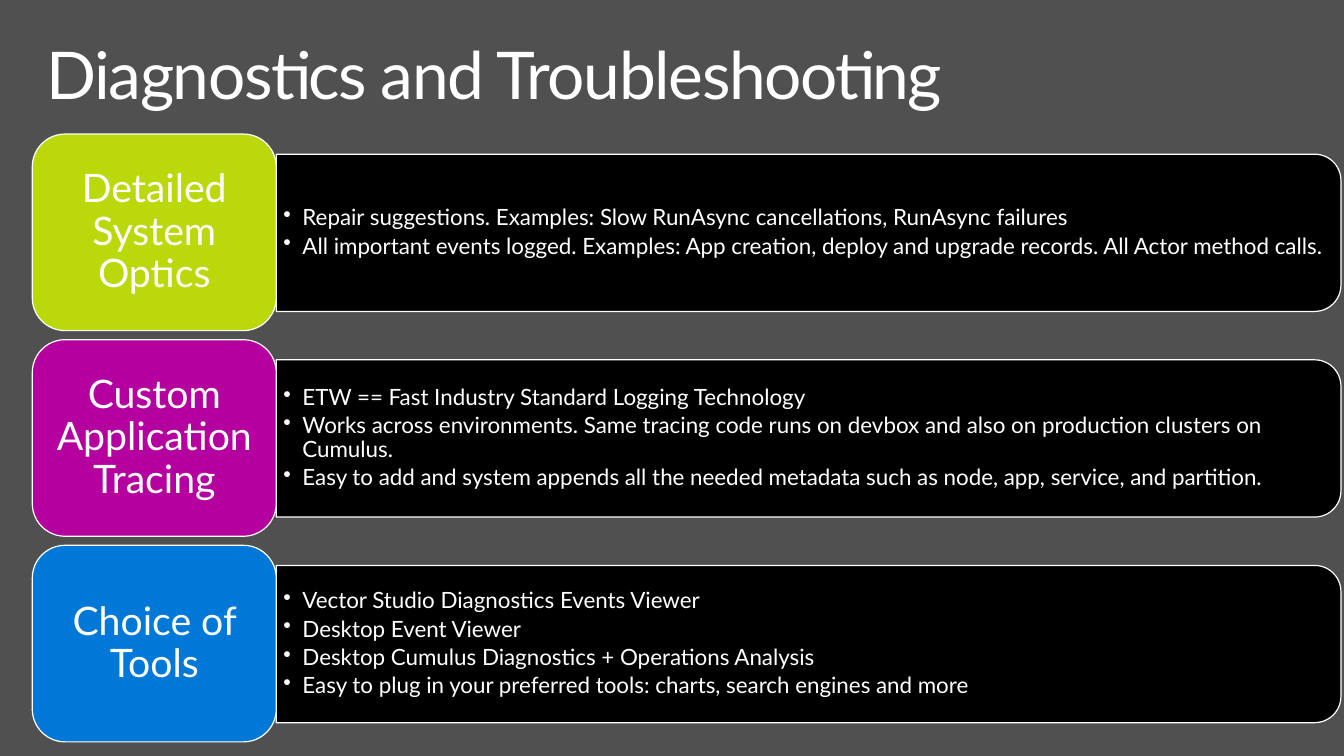
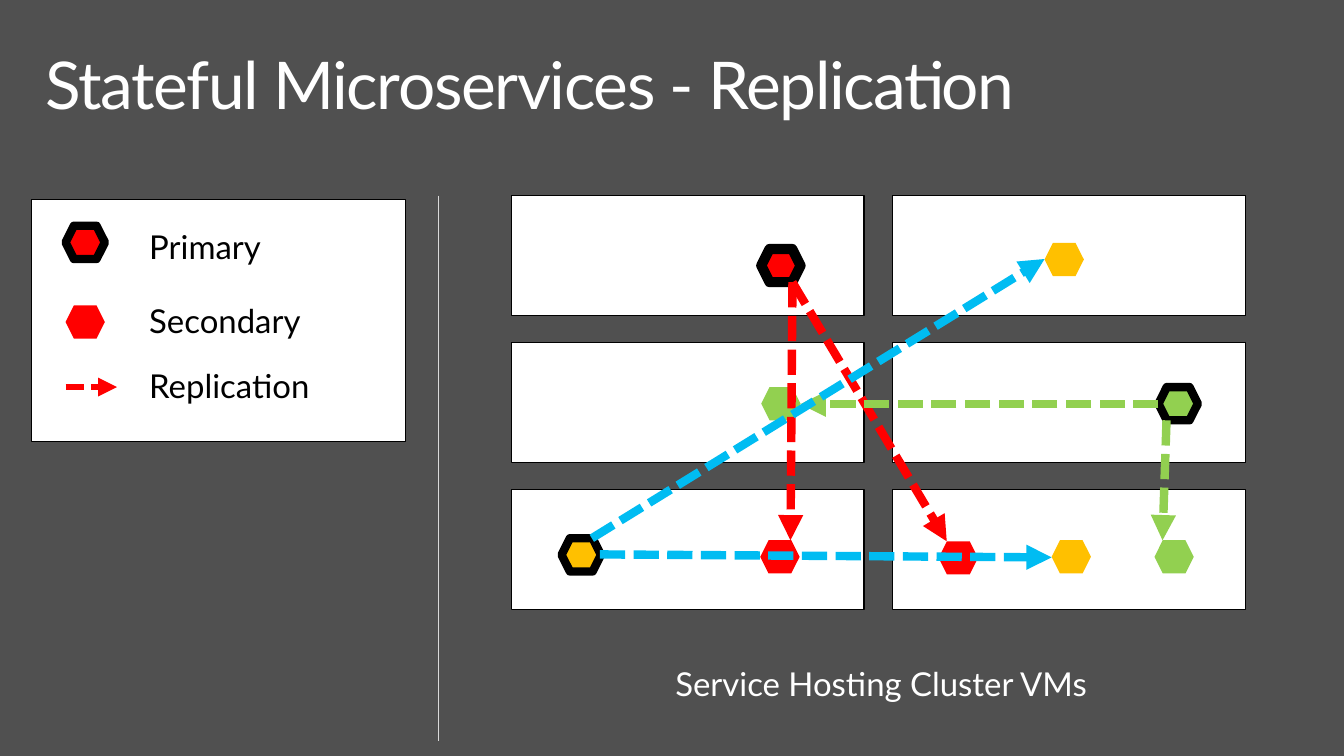
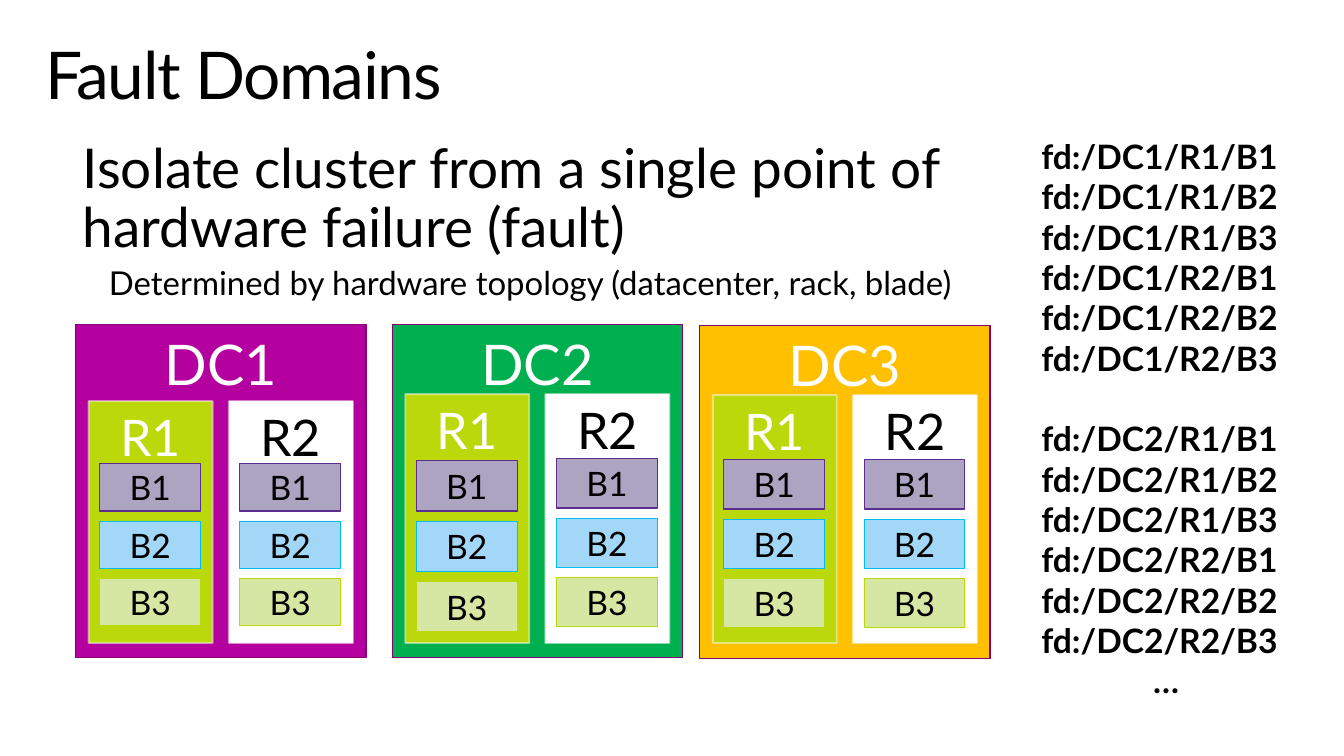
from math import cos, pi, sin

from lxml.etree import SubElement
from pptx import Presentation
from pptx.dml.color import RGBColor
from pptx.enum.shapes import MSO_CONNECTOR, MSO_SHAPE
from pptx.enum.text import MSO_ANCHOR, MSO_AUTO_SIZE, PP_ALIGN
from pptx.oxml.ns import qn
from pptx.util import Inches, Pt

FONT = "Lato"
WHITE = RGBColor(0xFF, 0xFF, 0xFF)
BLACK = RGBColor(0x00, 0x00, 0x00)
CHARCOAL = RGBColor(0x50, 0x50, 0x50)
SILVER = RGBColor(0xD9, 0xD9, 0xD9)
OFF_WHITE = RGBColor(0xF9, 0xF9, 0xF9)
LIME = RGBColor(0xBA, 0xD8, 0x0A)
MAGENTA = RGBColor(0xB4, 0x00, 0x9E)
PLUM = RGBColor(0x85, 0x00, 0x75)
BLUE = RGBColor(0x00, 0x78, 0xD7)
CYAN = RGBColor(0x00, 0xBC, 0xF2)
RED = RGBColor(0xFF, 0x00, 0x00)
GREEN = RGBColor(0x92, 0xD0, 0x50)
EMERALD = RGBColor(0x00, 0xB0, 0x50)
AMBER = RGBColor(0xFF, 0xC0, 0x00)
PURPLE = RGBColor(0x5C, 0x2D, 0x91)
LILAC = RGBColor(0xAD, 0xA4, 0xC1)
SKY = RGBColor(0xA2, 0xD7, 0xF7)
PALE_LIME = RGBColor(0xD5, 0xE7, 0xA2)


def write(frame, lines, size=24, color=BLACK, bold=False, align=PP_ALIGN.LEFT,
          anchor=MSO_ANCHOR.TOP, insets=(0.1, 0.05, 0.1, 0.05), leading=None,
          after=0, bullet_indent=0, tracking=0):
    """Fill a text frame with one paragraph per line and return the paragraphs."""
    frame.word_wrap = True
    frame.auto_size = MSO_AUTO_SIZE.NONE
    frame.vertical_anchor = anchor
    (frame.margin_left, frame.margin_top,
     frame.margin_right, frame.margin_bottom) = map(Inches, insets)
    for index, line in enumerate(lines):
        para = frame.add_paragraph() if index else frame.paragraphs[0]
        para.text = line
        para.alignment = align
        para.line_spacing = leading
        para.space_after = Pt(after)
        if bullet_indent:
            properties = para._p.get_or_add_pPr()
            properties.set("marL", str(Inches(bullet_indent)))
            properties.set("indent", str(-Inches(bullet_indent)))
            SubElement(properties, qn("a:buChar")).set("char", "•")
        for span in para.runs:
            style(span, size, color, bold)
            if tracking:
                span._r.get_or_add_rPr().set("spc", str(tracking))
    return frame.paragraphs


def style(span, size, color, bold=False):
    """Set the font of one run."""
    span.font.name = FONT
    span.font.size = Pt(size)
    span.font.bold = bold
    span.font.color.rgb = color


class Painter:
    """Holds the deck, the current page and the shared style."""

    def __init__(self):
        """Start a widescreen deck."""
        self.deck = Presentation()
        self.deck.slide_width = Inches(13.33)
        self.deck.slide_height = Inches(7.5)
        self.page = None

    def start(self, title, background, color, left=0.3, top=0.32):
        """Add a page with its background and title."""
        self.page = self.deck.slides.add_slide(self.deck.slide_layouts[5])
        self.page.background.fill.solid()
        self.page.background.fill.fore_color.rgb = background
        box = self.page.shapes.title
        box.left, box.top = Inches(left), Inches(top)
        box.width, box.height = Inches(12.7), Inches(1)
        write(box.text_frame, [title], size=47, color=color, leading=0.9,
              insets=(0.16, 0.1, 0.16, 0.1), tracking=-100)

    def text(self, left, top, width, height, lines, **looks):
        """Add a text box and return its paragraphs."""
        box = self.page.shapes.add_textbox(
            Inches(left), Inches(top), Inches(width), Inches(height))
        return write(box.text_frame, lines, **looks)

    def label(self, left, top, width, line, **looks):
        """Add a one-line label with wide insets."""
        self.text(left, top, width, 0.67, [line], size=23.5, leading=0.9,
                  insets=(0.2, 0.16, 0.2, 0.16), **looks)

    def paint(self, shape, fill, edge, weight):
        """Give a shape its fill and outline."""
        shape.shadow.inherit = False
        shape.fill.solid()
        shape.fill.fore_color.rgb = fill
        if edge is None:
            shape.line.fill.background()
        else:
            shape.line.color.rgb = edge
            shape.line.width = Pt(weight)
        return shape

    def shape(self, kind, left, top, width, height, fill, edge=None, weight=0.85):
        """Add a painted preset shape."""
        shape = self.page.shapes.add_shape(
            kind, Inches(left), Inches(top), Inches(width), Inches(height))
        return self.paint(shape, fill, edge, weight)

    def block(self, left, top, width, height, fill, edge, line, weight=0.85, **looks):
        """Add a rectangle with centred text."""
        block = self.shape(MSO_SHAPE.RECTANGLE, left, top, width, height,
                           fill, edge, weight)
        write(block.text_frame, [line], align=PP_ALIGN.CENTER, **looks)
        return block

    def hexagon(self, left, top, fill, ring=0):
        """Add a replica, with a black ring when it is a primary."""
        self.shape(MSO_SHAPE.HEXAGON, left, top, 0.39, 0.33, fill,
                   BLACK if ring else None, ring)

    def panel(self, left, top, width, height, radius):
        """Add a black panel whose right corners are round."""
        right, bottom = left + width, top + height
        corners = ((top + radius, -pi / 2), (bottom - radius, 0))
        arcs = [(right - radius + radius * cos(start + step * pi / 24),
                 middle + radius * sin(start + step * pi / 24))
                for middle, start in corners for step in range(13)]
        outline = self.page.shapes.build_freeform(Inches(left), Inches(top))
        outline.add_line_segments(
            [(Inches(x), Inches(y)) for x, y in arcs + [(left, bottom)]], close=True)
        return self.paint(outline.convert_to_shape(), BLACK, WHITE, 0.85)

    def line(self, start, end, color, weight, arrow=False):
        """Add a straight line, or a dashed arrow."""
        line = self.page.shapes.add_connector(
            MSO_CONNECTOR.STRAIGHT, *map(Inches, start + end))
        line.line.color.rgb = color
        line.line.width = Pt(weight)
        if arrow:
            pen = line.line._get_or_add_ln()
            SubElement(pen, qn("a:prstDash")).set("val", "sysDash")
            SubElement(pen, qn("a:tailEnd")).set("type", "triangle")
        SubElement(line._element.spPr, qn("a:effectLst"))


def diagnostics(painter):
    """Draw three topics, each a coloured tab and a panel of points."""
    painter.start("Diagnostics and Troubleshooting", CHARCOAL, WHITE)
    topics = (
        ("Detailed System Optics", LIME, (
            "Repair suggestions. Examples: Slow RunAsync cancellations, RunAsync failures",
            "All important events logged. Examples: App creation, deploy and upgrade "
            "records. All Actor method calls.")),
        ("Custom Application Tracing", MAGENTA, (
            "ETW == Fast Industry Standard Logging Technology",
            "Works across environments. Same tracing code runs on devbox and also on "
            "production clusters on Cumulus.",
            "Easy to add and system appends all the needed metadata such as node, app, "
            "service, and partition.")),
        ("Choice of Tools", BLUE, (
            "Vector Studio Diagnostics Events Viewer",
            "Desktop Event Viewer",
            "Desktop Cumulus Diagnostics + Operations Analysis",
            "Easy to plug in your preferred tools: charts, search engines and more")),
    )
    for row, (topic, color, points) in enumerate(topics):
        top = 1.33 + 2.04 * row
        panel = painter.panel(2.74, top + 0.2, 10.56, 1.56, 0.26)
        write(panel.text_frame, points, size=16, color=WHITE, leading=0.9, after=2.9,
              anchor=MSO_ANCHOR.MIDDLE, insets=(0.07, 0.11, 0.14, 0.11),
              bullet_indent=0.19)
        tab = painter.shape(MSO_SHAPE.ROUNDED_RECTANGLE, 0.32, top, 2.42, 1.95,
                            color, WHITE)
        write(tab.text_frame, [topic], size=28, color=WHITE, leading=0.9,
              align=PP_ALIGN.CENTER, anchor=MSO_ANCHOR.MIDDLE,
              insets=(0.11, 0.05, 0.11, 0.05))


def replication(painter):
    """Draw the cluster machines, their replicas and the legend."""
    painter.start("Stateful Microservices - Replication", CHARCOAL, WHITE, 0.29, 0.42)
    for row in range(3):
        for column in range(2):
            painter.shape(MSO_SHAPE.RECTANGLE, 5.07 + 3.78 * column,
                          1.94 + 1.46 * row, 3.5, 1.19, WHITE, BLACK)
    painter.shape(MSO_SHAPE.RECTANGLE, 0.31, 1.98, 3.71, 2.4, WHITE, BLACK)
    replicas = (
        (9.31, 5.37, RED, 0), (7.55, 2.47, RED, 7.25), (7.54, 5.36, RED, 0),
        (11.45, 5.36, GREEN, 0), (11.49, 3.84, GREEN, 6), (7.55, 3.84, GREEN, 0),
        (5.57, 5.34, AMBER, 6), (10.36, 2.41, AMBER, 0), (10.43, 5.36, AMBER, 0),
        (0.65, 2.24, RED, 6), (0.65, 3.03, RED, 0),
    )
    for replica in replicas:
        painter.hexagon(*replica)
    for top, name in ((2.13, "Primary"), (2.87, "Secondary"), (3.51, "Replication")):
        painter.label(1.28, top, 2.42, name)
    painter.label(4.69, 6.47, 8.1, "Service Hosting Cluster VMs", color=WHITE,
                  align=PP_ALIGN.CENTER)
    painter.line((4.35, 1.94), (4.35, 7.35), SILVER, 1)
    painter.line((0.65, 3.84), (1.16, 3.84), RED, 4.5, arrow=True)
    flows = (
        ((7.86, 2.8), (9.39, 5.37), RED), ((7.86, 2.8), (7.84, 5.36), RED),
        ((11.57, 4.17), (11.53, 5.36), GREEN), ((11.49, 4.01), (7.94, 4.01), GREEN),
        ((5.87, 5.34), (10.36, 2.57), CYAN), ((5.95, 5.5), (10.43, 5.53), CYAN),
    )
    for start, end, color in flows:
        painter.line(start, end, color, 6, arrow=True)


def fault_domains(painter):
    """Draw datacenters holding racks of blades, and the domain paths."""
    painter.start("Fault Domains", WHITE, BLACK, 0.29)
    lead, detail = painter.text(
        0.29, 1.3, 9.8, 1.83,
        ["Isolate cluster from a single point of\vhardware failure (fault)",
         "Determined by hardware topology (datacenter, rack, blade)"],
        size=39.2, leading=0.9, insets=(0.16, 0.1, 0.16, 0.1))
    lead._p.get_or_add_pPr().set("marL", str(Inches(0.37)))
    detail._p.get_or_add_pPr().set("marL", str(Inches(0.63)))
    detail.space_before = Pt(5)
    style(detail.runs[0], 23.5, BLACK)

    paths = [f"fd:/DC{center}/R{rack}/B{blade}"
             for center in (1, 2) for rack in (1, 2) for blade in (1, 2, 3)]
    paras = painter.text(10.23, 1.3, 2.67, 5.76, paths + ["…"], bold=True)
    paras[6].space_before = Pt(28.8)
    paras[-1].alignment = PP_ALIGN.CENTER

    racks = (("R1", 0.13, LIME, WHITE), ("R2", 1.52, WHITE, BLACK))
    blades = (("B1", LILAC, PURPLE), ("B2", SKY, CYAN), ("B3", PALE_LIME, LIME))
    centers = (
        ("DC1", MAGENTA, 0.75, 3.22, 3.98, ((4.6, 0.57), (4.6, 0.57))),
        ("DC2", EMERALD, 3.89, 3.22, 3.91, ((4.57, 0.6), (4.55, 0.59))),
        ("DC3", AMBER, 6.94, 3.23, 3.92, ((4.56, 0.59), (4.56, 0.59))),
    )
    for center, color, left, top, rack_top, stacks in centers:
        painter.block(left, top, 2.88, 3.3, color, PLUM, center, size=40, color=WHITE)
        for (rack, offset, fill, ink), (blade_top, pitch) in zip(racks, stacks):
            rack_left = left + offset
            frame = painter.block(rack_left, rack_top, 1.23, 6.38 - rack_top, fill,
                                  OFF_WHITE, rack, 1.35, size=36, color=ink)
            edge_color = frame.line._get_or_add_ln().find(".//" + qn("a:srgbClr"))
            SubElement(edge_color, qn("a:alpha")).set("val", "50000")
            for slot, (blade, tint, edge) in enumerate(blades):
                painter.block(rack_left + 0.11, blade_top + pitch * slot, 1,
                              pitch - 0.1, tint, edge, blade, 0.75,
                              anchor=MSO_ANCHOR.MIDDLE)


def main():
    """Build and save the deck."""
    painter = Painter()
    diagnostics(painter)
    replication(painter)
    fault_domains(painter)
    painter.deck.save("out.pptx")


if __name__ == "__main__":
    main()
